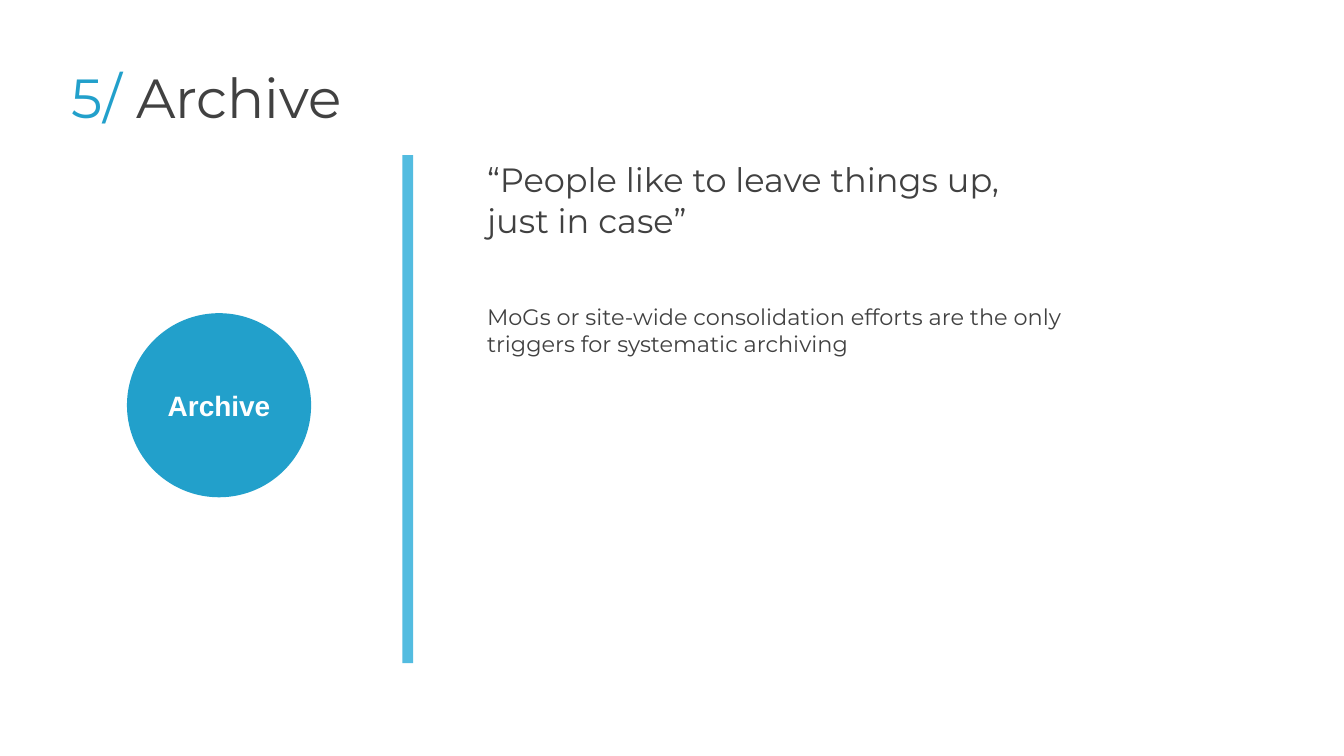
from typing import NamedTuple

from pptx import Presentation
from pptx.dml.color import RGBColor
from pptx.enum.shapes import MSO_SHAPE
from pptx.enum.text import MSO_ANCHOR, MSO_AUTO_SIZE, PP_ALIGN
from pptx.util import Cm, Pt

BLUE, LIGHT_BLUE, GREY, WHITE = "22A0CB", "53BCE0", "414141", "FFFFFF"


class Area(NamedTuple):
    """Left, top, width and height in centimetres."""
    left: float
    top: float
    width: float
    height: float


class Span(NamedTuple):
    text: str
    size: float
    color: str
    font: str = "Montserrat"
    bold: bool = False


class Words(NamedTuple):
    area: Area
    spans: list[Span]
    align: PP_ALIGN = PP_ALIGN.LEFT
    anchor: MSO_ANCHOR = MSO_ANCHOR.TOP
    inset: float = 0.1


def rgb(color: str) -> RGBColor:
    return RGBColor.from_string(color)


def lengths(area: Area) -> list[Cm]:
    return [Cm(value) for value in area]


def draw_shape(page, kind: MSO_SHAPE, area: Area, color: str) -> None:
    shape = page.shapes.add_shape(kind, *lengths(area))
    shape.shadow.inherit = False
    shape.fill.solid()
    shape.fill.fore_color.rgb = rgb(color)
    shape.line.fill.background()


def write(box, words: Words) -> None:
    box.left, box.top, box.width, box.height = lengths(words.area)
    frame = box.text_frame
    frame_format = {
        "word_wrap": True,
        "auto_size": MSO_AUTO_SIZE.NONE,
        "vertical_anchor": words.anchor,
    }
    for side in ("left", "top", "right", "bottom"):
        frame_format[f"margin_{side}"] = Cm(words.inset)
    for name, value in frame_format.items():
        setattr(frame, name, value)

    para = frame.paragraphs[0]
    para.alignment = words.align
    for span in words.spans:
        run = para.add_run()
        run.text = span.text
        font_format = {"name": span.font, "size": Pt(span.size), "bold": span.bold}
        for name, value in font_format.items():
            setattr(run.font, name, value)
        run.font.color.rgb = rgb(span.color)


TITLE = Words(Area(2.62, 2.29, 30.91, 2.82),
              [Span("5/ ", 59, BLUE), Span("Archive", 59, GREY)])
DIVIDER = Area(15.21, 5.87, 0.41, 19.2)
CIRCLE = Area(4.8, 11.84, 6.96, 6.96)
TEXTS = [
    # Circle label
    Words(Area(4.8, 14.05, 6.96, 2.51), [Span("Archive", 30, WHITE, "Arial", True)],
          PP_ALIGN.CENTER, MSO_ANCHOR.MIDDLE, 0.25),
    # Quote
    Words(Area(18.31, 5.92, 20.19, 5.61),
          [Span("“People like to leave things up, just in case”", 36, GREY)]),
    # Finding
    Words(Area(18.31, 11.35, 23.77, 3.86),
          [Span("MoGs or site-wide consolidation efforts are the only "
                "triggers for systematic archiving", 24, GREY)]),
]


def main() -> None:
    deck = Presentation()
    deck.slide_width, deck.slide_height = Cm(50.8), Cm(28.58)
    page = deck.slides.add_slide(deck.slide_layouts.get_by_name("Title Only"))

    # Title
    write(page.shapes.title, TITLE)

    # Divider and topic circle
    draw_shape(page, MSO_SHAPE.RECTANGLE, DIVIDER, LIGHT_BLUE)
    draw_shape(page, MSO_SHAPE.OVAL, CIRCLE, BLUE)

    # Label, quote and finding
    for words in TEXTS:
        write(page.shapes.add_textbox(*lengths(words.area)), words)

    deck.save("out.pptx")


if __name__ == "__main__":
    main()
